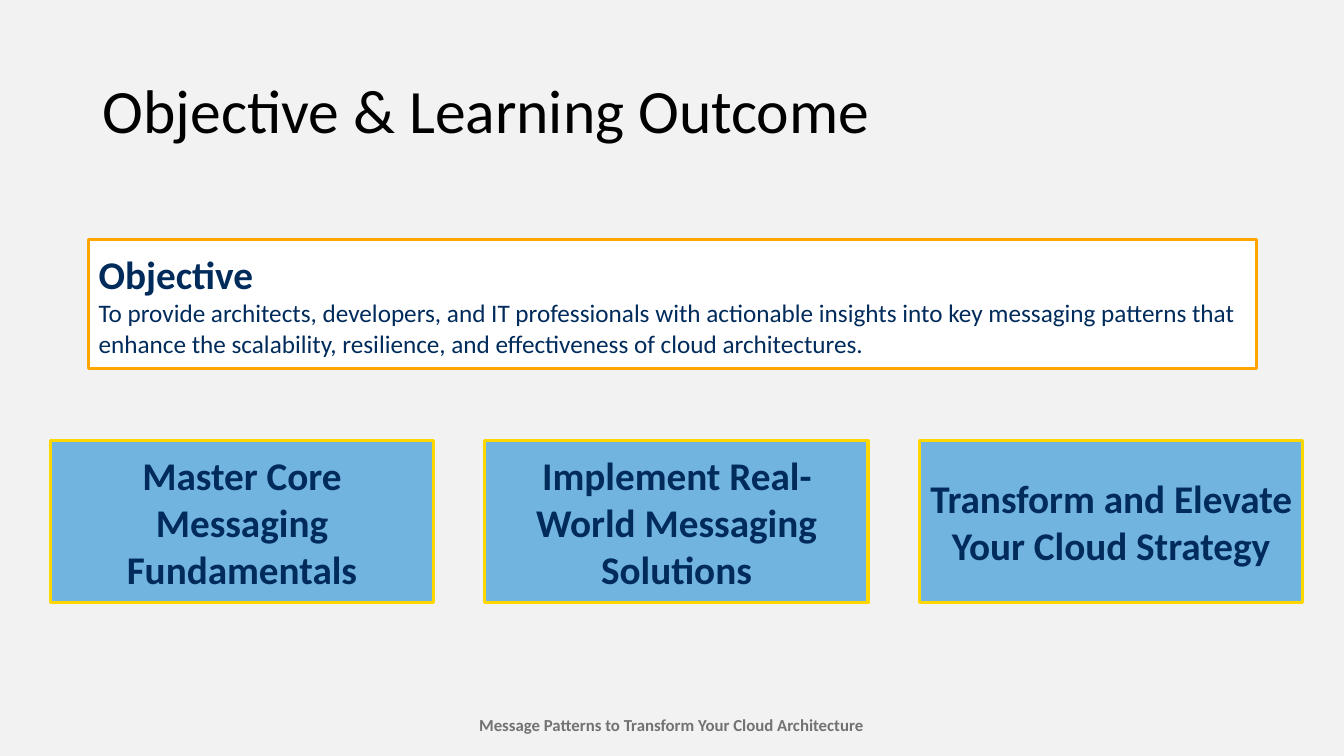
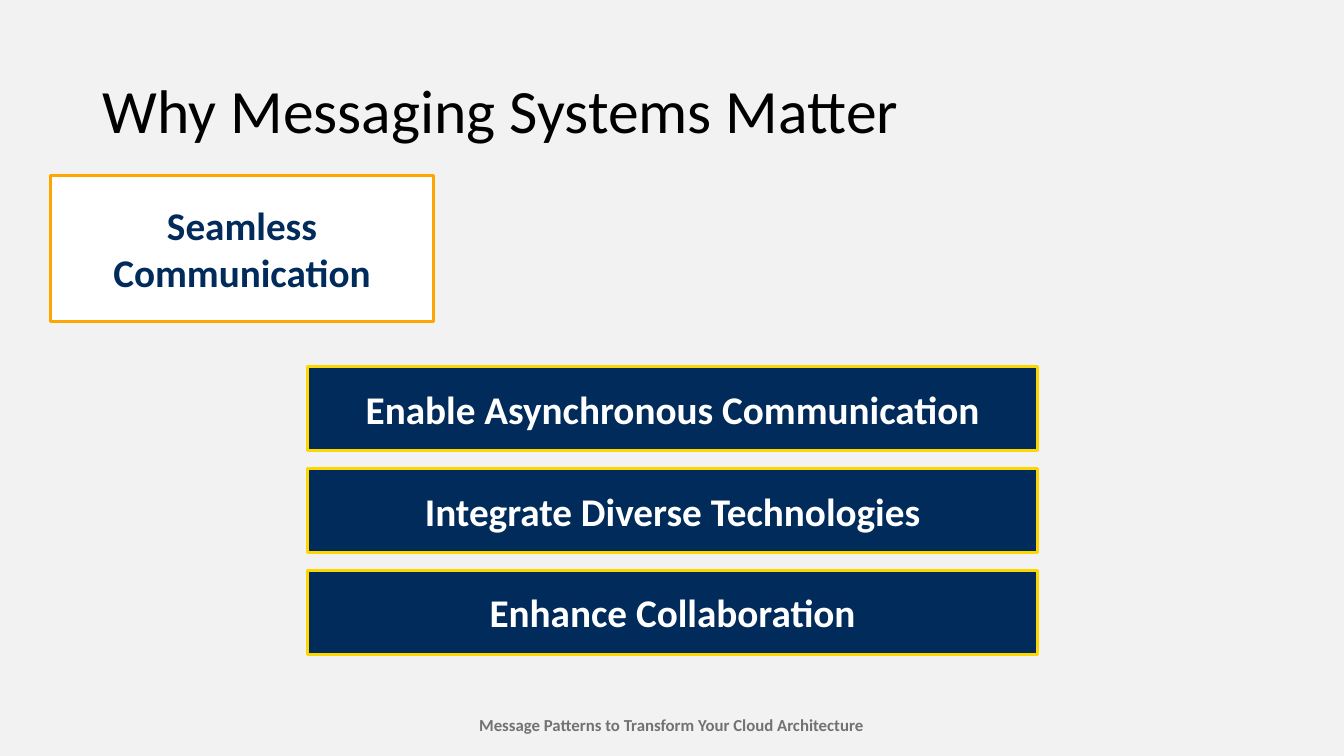
from pptx import Presentation
from pptx.dml.color import RGBColor as Rgb
from pptx.enum.shapes import MSO_SHAPE as Shape
from pptx.enum.text import MSO_ANCHOR as Anchor, PP_ALIGN as Align
from pptx.util import Emu, Pt

PX = 9144  # 100 px to the inch
FONT = "Calibri"
HEAD, BODY, NOTE, TITLE = 28, 18, 12, 44
COLORS = {
    "back": "F2F2F2", "white": "FFFFFF", "black": "000000",
    "navy": "002B5B", "sky": "72B4E0", "gray": "727272",
    "orange": "FFA500", "gold": "FFD700",
}
FOOTER = "Message Patterns to Transform Your Cloud Architecture"


def color(name):
    return Rgb.from_string(COLORS[name])


class Deck:
    def __init__(self):
        self.prs = Presentation()
        self.prs.slide_width, self.prs.slide_height = Emu(1333 * PX), Emu(750 * PX)
        self.slide = None

    def page(self, title):
        """Start a slide with the shared background, footer and title."""
        self.slide = self.prs.slides.add_slide(self.prs.slide_layouts[6])
        fill = self.slide.background.fill
        fill.solid()
        fill.fore_color.rgb = color("back")
        self.label((463, 704, 406, 30), FOOTER, NOTE, "gray", bold=True,
                   align=Align.CENTER, anchor=Anchor.TOP, wrap=False)
        self.label((92, 40, 1150, 145), title, TITLE, "black", space=0.9)

    def label(self, area, text, size, ink, bold=False, align=Align.LEFT,
              anchor=Anchor.MIDDLE, wrap=True, space=None):
        box = self.slide.shapes.add_textbox(*(Emu(n * PX) for n in area))
        self.put_text(box.text_frame, [(text, size, bold)], ink, align, anchor, wrap, space)

    def card(self, area, lines, fill, line, ink, align=Align.CENTER):
        box = self.slide.shapes.add_shape(Shape.RECTANGLE, *(Emu(n * PX) for n in area))
        box.shadow.inherit = False
        box.fill.solid()
        box.fill.fore_color.rgb = color(fill)
        box.line.color.rgb = color(line)
        box.line.width = Pt(2.25)
        self.put_text(box.text_frame, lines, ink, align)

    def put_text(self, frame, lines, ink, align, anchor=Anchor.MIDDLE, wrap=True, space=None):
        """Fill a frame; each line is (text, size, bold) and makes a paragraph."""
        frame.word_wrap = wrap
        frame.vertical_anchor = anchor
        for i, (text, size, bold) in enumerate(lines):
            para = frame.add_paragraph() if i else frame.paragraphs[0]
            para.alignment = align
            if space:
                para.line_spacing = space
            run = para.add_run()
            run.text = text
            font = run.font
            font.name, font.size, font.bold = FONT, Pt(size), bold
            font.color.rgb = color(ink)


def goals(deck):
    deck.page("Objective & Learning Outcome")
    aim = ("To provide architects, developers, and IT professionals with actionable "
           "insights into key messaging patterns that enhance the scalability, "
           "resilience, and effectiveness of cloud architectures.")
    deck.card((88, 238, 1158, 128), [("Objective", HEAD, True), (aim, BODY, False)],
              "white", "orange", "navy", Align.LEFT)
    results = ("Master Core Messaging Fundamentals",
               "Implement Real-World Messaging Solutions",
               "Transform and Elevate Your Cloud Strategy")
    width, gap = 380, 51
    for i, text in enumerate(results):
        deck.card((50 + i * (width + gap), 437, width, 161), [(text, HEAD, True)],
                  "sky", "gold", "navy")


def reasons(deck):
    deck.page("Why Messaging Systems Matter")
    deck.card((50, 174, 380, 145), [("Seamless Communication", HEAD, True)],
              "white", "orange", "navy")
    points = ("Enable Asynchronous Communication",
              "Integrate Diverse Technologies",
              "Enhance Collaboration")
    height, gap = 83, 18
    for i, text in enumerate(points):
        deck.card((305, 364 + i * (height + gap), 724, height), [(text, HEAD, True)],
                  "navy", "gold", "white")


def main():
    deck = Deck()
    goals(deck)
    reasons(deck)
    deck.prs.save("out.pptx")


if __name__ == "__main__":
    main()
